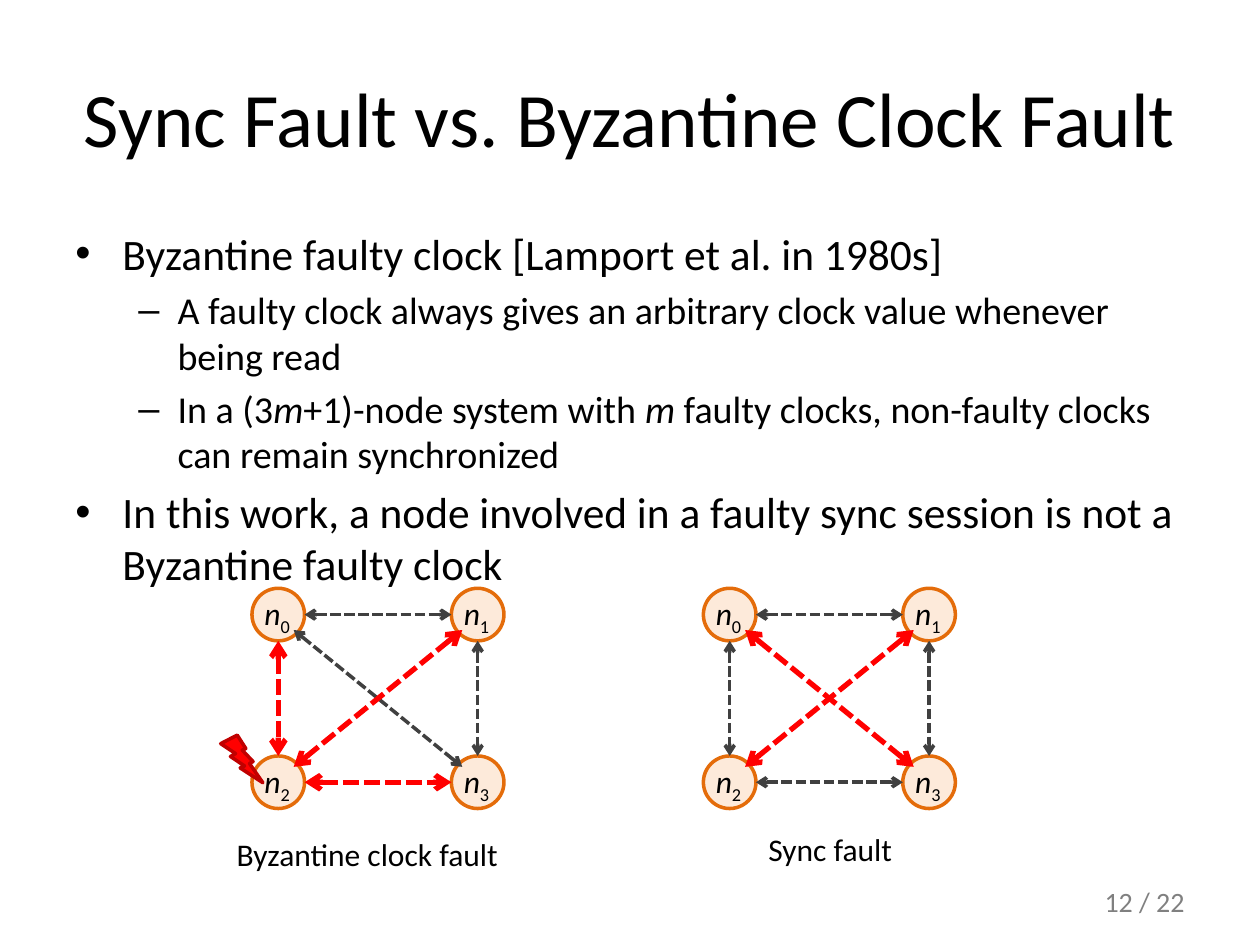
from lxml.etree import SubElement
from pptx import Presentation
from pptx.dml.color import RGBColor
from pptx.enum.dml import MSO_LINE
from pptx.enum.shapes import MSO_CONNECTOR, MSO_SHAPE
from pptx.enum.text import MSO_ANCHOR, MSO_AUTO_SIZE, PP_ALIGN
from pptx.oxml.ns import qn
from pptx.util import Cm, Pt

# Content
TITLE = "Sync Fault vs. Byzantine Clock Fault"
PAGE = "12 / 22"
# (level, runs); each run is (text, italic)
BULLETS = [
    (0, [("Byzantine faulty clock [Lamport et al. in 1980s]", False)]),
    (1, [("A faulty clock always gives an arbitrary clock value whenever being read", False)]),
    (1, [("In a (3", False), ("m", True), ("+1)-node system with ", False), ("m", True),
         (" faulty clocks, non-faulty clocks can remain synchronized", False)]),
    (0, [("In this work, a node involved in a faulty sync session is not a "
          "Byzantine faulty clock", False)]),
]
# Bullet, left margin and hanging indent (cm), text size, space before
LEVELS = [("•", 0.95, 0.95, 24.8, 5), ("–", 2.06, 0.79, 21.7, 4.3)]

LINKS = [(0, 1), (0, 2), (2, 3), (1, 3), (0, 3), (1, 2)]
# Graph left edge, faulty links, caption, caption box (cm)
GRAPHS = [
    (5.08, {(0, 2), (2, 3), (1, 2)}, "Byzantine clock fault", (4.52, 16.71, 5.84, 1.02)),
    (14.18, {(0, 3), (1, 2)}, "Sync fault", (15.24, 16.61, 3.02, 1.02)),
]
GRAPH_TOP, STEP_X, STEP_Y, DIAMETER, CORNER = 11.86, 4.02, 3.38, 1.06, 0.31

FONT = "Calibri"
COLORS = {"text": "000000", "page": "808080", "node": "FDEADA", "ring": "E46C0A",
          "link": "404040", "fault": "FF0000", "bolt_edge": "C00000"}


def color(name):
    return RGBColor.from_string(COLORS[name])


def style_font(font, size, name="text"):
    font.name, font.size = FONT, Pt(size)
    font.color.rgb = color(name)


def add_text(shapes, box, size, runs, wrap=False, name="text"):
    shape = shapes.add_textbox(*map(Cm, box))
    frame = shape.text_frame
    frame.word_wrap = wrap
    if not wrap:
        frame.auto_size = MSO_AUTO_SIZE.SHAPE_TO_FIT_TEXT
    paragraph = frame.paragraphs[0]
    for text in runs:
        paragraph.add_run().text = text
    style_font(paragraph.font, size, name)
    return shape


def add_preset(shapes, kind, box, fill, line):
    shape = shapes.add_shape(kind, *map(Cm, box))
    shape.shadow.inherit = False
    shape.fill.solid()
    shape.fill.fore_color.rgb = color(fill)
    shape.line.color.rgb = color(line)
    shape.line.width = Pt(2)
    return shape


def add_bullets(slide):
    shape = slide.shapes.add_textbox(Cm(1.27), Cm(4.45), Cm(22.86), Cm(6.78))
    frame = shape.text_frame
    frame.word_wrap = True
    for index, (level, runs) in enumerate(BULLETS):
        bullet, margin, hanging, size, space = LEVELS[level]
        paragraph = frame.add_paragraph() if index else frame.paragraphs[0]
        paragraph.level = level
        paragraph.space_before = Pt(space if index else 0)
        properties = paragraph._p.get_or_add_pPr()
        properties.set("marL", str(Cm(margin)))
        properties.set("indent", str(-Cm(hanging)))
        SubElement(properties, qn("a:buFont"), typeface="Arial")
        SubElement(properties, qn("a:buChar"), char=bullet)
        style_font(paragraph.font, size)
        for text, italic in runs:
            run = paragraph.add_run()
            run.text = text
            if italic:
                run.font.italic = True


def add_node(slide, left, top, number):
    group = slide.shapes.add_group_shape()
    add_preset(group.shapes, MSO_SHAPE.OVAL, (left, top, DIAMETER, DIAMETER), "node", "ring")
    label = add_text(group.shapes, (left, top, DIAMETER, 1.02), 18, ["n", str(number)])
    letter, index = label.text_frame.paragraphs[0].runs
    letter.font.italic = True
    index.font._element.set("baseline", "-25000")


def add_link(slide, start, end, faulty):
    # Ends sit on the node's rim: at its side, or near its corner for diagonals
    signs = [(b > a) - (b < a) for a, b in zip(start, end)]
    reach = CORNER if all(signs) else DIAMETER / 2
    begin = [a + sign * reach for a, sign in zip(start, signs)]
    finish = [b - sign * reach for b, sign in zip(end, signs)]
    connector = slide.shapes.add_connector(MSO_CONNECTOR.STRAIGHT, *map(Cm, begin + finish))
    connector.line.color.rgb = color("fault" if faulty else "link")
    connector.line.width = Pt(3 if faulty else 2)
    connector.line.dash_style = MSO_LINE.SQUARE_DOT
    line = connector.line._get_or_add_ln()
    for tag in ("a:headEnd", "a:tailEnd"):
        SubElement(line, qn(tag), type="arrow")
    SubElement(connector._element.spPr, qn("a:effectLst"))


def add_graph(slide, left, faulty_links, caption, caption_box):
    corners = [(left + n % 2 * STEP_X, GRAPH_TOP + n // 2 * STEP_Y) for n in range(4)]
    for number, (x, y) in enumerate(corners):
        add_node(slide, x, y, number)
    centers = [(x + DIAMETER / 2, y + DIAMETER / 2) for x, y in corners]
    for link in LINKS:
        add_link(slide, centers[link[0]], centers[link[1]], link in faulty_links)
    add_text(slide.shapes, caption_box, 18, [caption])


def main():
    presentation = Presentation()
    presentation.slide_width, presentation.slide_height = Cm(25.4), Cm(19.05)
    slide = presentation.slides.add_slide(presentation.slide_layouts[5])

    # Title
    title = slide.shapes.title
    title.left, title.top, title.width, title.height = map(Cm, (1.27, 0.76, 22.86, 3.18))
    title.text_frame.text = TITLE
    title.text_frame.vertical_anchor = MSO_ANCHOR.MIDDLE
    paragraph = title.text_frame.paragraphs[0]
    paragraph.alignment = PP_ALIGN.CENTER
    style_font(paragraph.font, 44)

    add_bullets(slide)

    # Page number
    page = add_text(slide.shapes, (18.21, 17.65, 5.92, 1.02), 16, [PAGE], True, "page")
    page.text_frame.vertical_anchor = MSO_ANCHOR.MIDDLE
    page.text_frame.paragraphs[0].alignment = PP_ALIGN.RIGHT

    # Graphs, with the bolt striking the faulty clock
    for graph in GRAPHS:
        add_graph(slide, *graph)
    add_preset(slide.shapes, MSO_SHAPE.LIGHTNING_BOLT, (4.45, 14.82, 0.85, 0.96),
               "fault", "bolt_edge")

    presentation.save("out.pptx")


if __name__ == "__main__":
    main()
